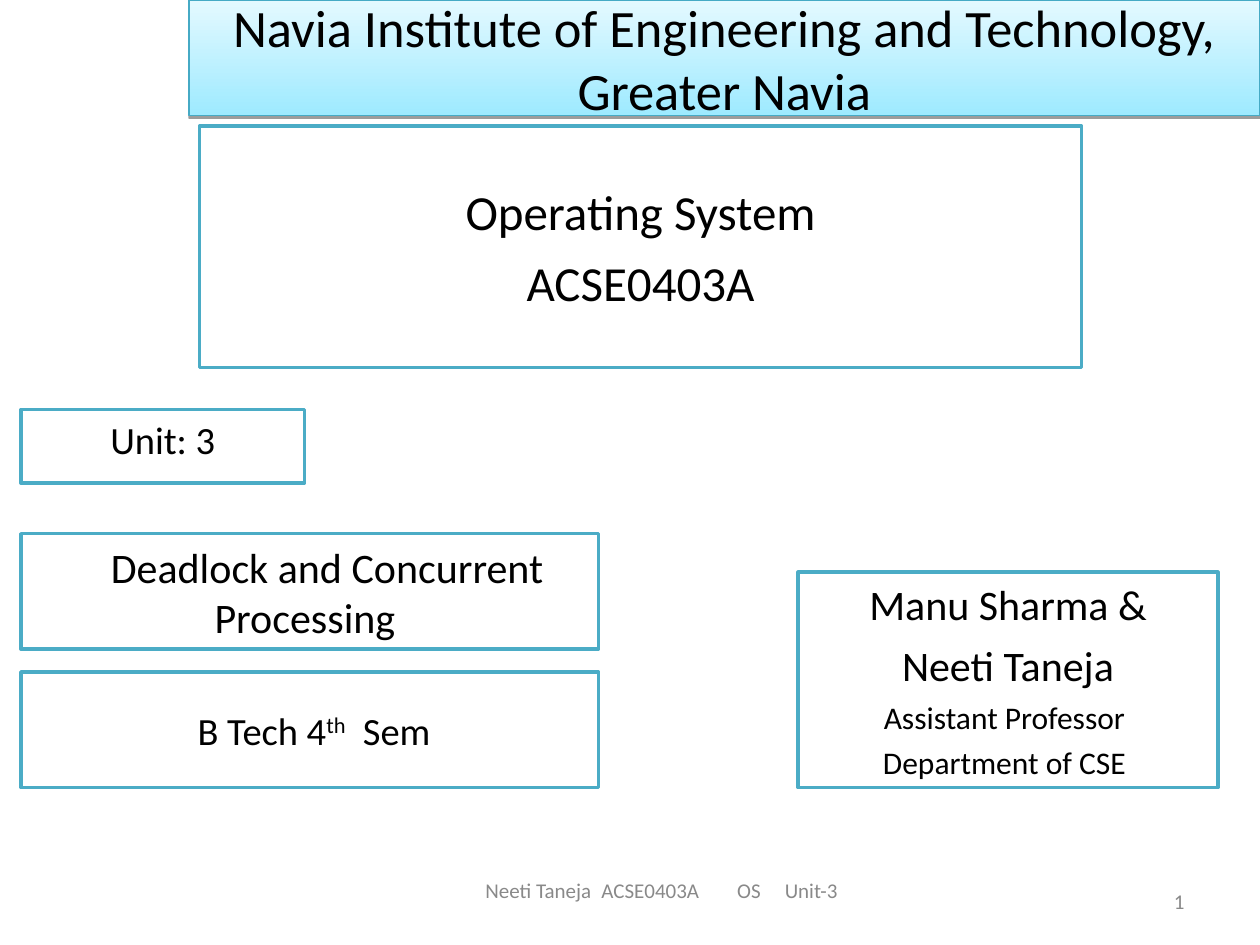
from lxml import etree
from pptx import Presentation
from pptx.dml.color import RGBColor
from pptx.enum.shapes import MSO_SHAPE
from pptx.enum.text import MSO_ANCHOR, MSO_AUTO_SIZE, PP_ALIGN
from pptx.oxml.ns import qn
from pptx.util import Pt

RECT = MSO_SHAPE.RECTANGLE
TOP, MIDDLE = MSO_ANCHOR.TOP, MSO_ANCHOR.MIDDLE
CENTER, RIGHT = PP_ALIGN.CENTER, PP_ALIGN.RIGHT
NO_AUTOFIT = MSO_AUTO_SIZE.NONE

FONT = "Calibri"
BLACK, WHITE, GREY, TEAL = "000000", "FFFFFF", "898989", "4BACC6"


def rgb(color):
    return RGBColor.from_string(color)


def place(sp, left, top, width, height):
    sp.left, sp.top, sp.width, sp.height = map(Pt, (left, top, width, height))


def format_run(r, size, color):
    r.font.name = FONT
    r.font.size = Pt(size)
    r.font.color.rgb = rgb(color)


def set_text(sp, lines, color=BLACK, align=CENTER, anchor=MIDDLE):
    """Each line is (runs, size, space before); each run is (text, attributes)."""
    tf = sp.text_frame
    tf.word_wrap = True
    tf.auto_size = NO_AUTOFIT
    tf.vertical_anchor = anchor
    for i, (runs, size, before) in enumerate(lines):
        p = tf.paragraphs[0] if i == 0 else tf.add_paragraph()
        p.alignment = align
        p.space_before = Pt(before)
        for text, attributes in runs:
            r = p.add_run()
            r.text = text
            format_run(r, size, color)
            for name, value in attributes.items():
                r.font._element.set(name, str(value))


def plain(text, size, before=0):
    return [(text, {})], size, before


def gap(points):
    """A single space widened by character spacing."""
    return " ", {"spc": points * 100}


def frame(sp):
    sp.shadow.inherit = False
    sp.fill.solid()
    sp.fill.fore_color.rgb = rgb(WHITE)
    sp.line.color.rgb = rgb(TEAL)
    sp.line.width = Pt(2)


def add_box(s, box, lines, anchor=MIDDLE):
    sp = s.shapes.add_shape(RECT, *map(Pt, box))
    frame(sp)
    set_text(sp, lines, anchor=anchor)
    return sp


def add_label(s, box, lines, align):
    sp = s.shapes.add_textbox(*map(Pt, box))
    set_text(sp, lines, GREY, align)


def add_drop_shadow(sp):
    sp.shadow.inherit = False
    effects = sp._element.spPr.find(qn("a:effectLst"))
    shadow = etree.SubElement(effects, qn("a:outerShdw"), blurRad="0",
                              dist=str(Pt(1.6)), dir="5400000", rotWithShape="0")
    color = etree.SubElement(shadow, qn("a:srgbClr"), val=BLACK)
    etree.SubElement(color, qn("a:alpha"), val="38000")


def format_title(sp):
    place(sp, 108, 0, 612, 66)
    sp.fill.gradient()
    sp.fill.gradient_angle = 90
    for stop, color in zip(sp.fill.gradient_stops, ("9EEAFF", "E4F9FF")):
        stop.color.rgb = rgb(color)
    sp.line.color.rgb = rgb("46AAC5")
    sp.line.width = Pt(0.75)
    add_drop_shadow(sp)
    set_text(sp, [plain("Navia Institute of Engineering and Technology, Greater Navia", 30)])


def main():
    prs = Presentation()
    prs.slide_width, prs.slide_height = Pt(720), Pt(540)
    s = prs.slides.add_slide(prs.slide_layouts[0])

    # Institute banner and course name
    format_title(s.shapes.title)
    course = s.placeholders[1]
    place(course, 114, 72, 504, 138)
    frame(course)
    set_text(course, [plain("Operating System", 28, 7), plain("ACSE0403A", 28, 7)])

    # Lecturers
    add_box(s, (456, 327, 240, 123), [
        plain("Manu Sharma &", 24, 6),
        plain(" Neeti Taneja ", 24, 6),
        plain("Assistant Professor ", 18, 4.5),
        plain("Department of CSE ", 18, 4.5),
    ])

    # Unit, topic and semester
    add_box(s, (12, 234, 162, 42), [plain("Unit: 3", 22, 5.5)], TOP)
    topic = add_box(s, (12, 305, 330, 66),
                    [plain("Deadlock and Concurrent Processing ", 24)])
    topic.text_frame.paragraphs[0]._p.get_or_add_pPr().set("indent", str(Pt(20)))
    semester = [(" B Tech 4", {}), ("th", {"baseline": 30000}), gap(5), ("Sem", {})]
    add_box(s, (12, 384, 330, 66), [(semester, 22, 5.5)])

    # Footer and page number
    footer = [("Neeti Taneja", {}), gap(3), ("ACSE0403A", {}), gap(19),
              ("OS", {}), gap(11), ("Unit-3", {})]
    add_label(s, (180, 494, 396, 29), [(footer, 12, 0)], CENTER)
    add_label(s, (516, 500.5, 168, 29), [plain("1", 12)], RIGHT)

    prs.save("out.pptx")


if __name__ == "__main__":
    main()
